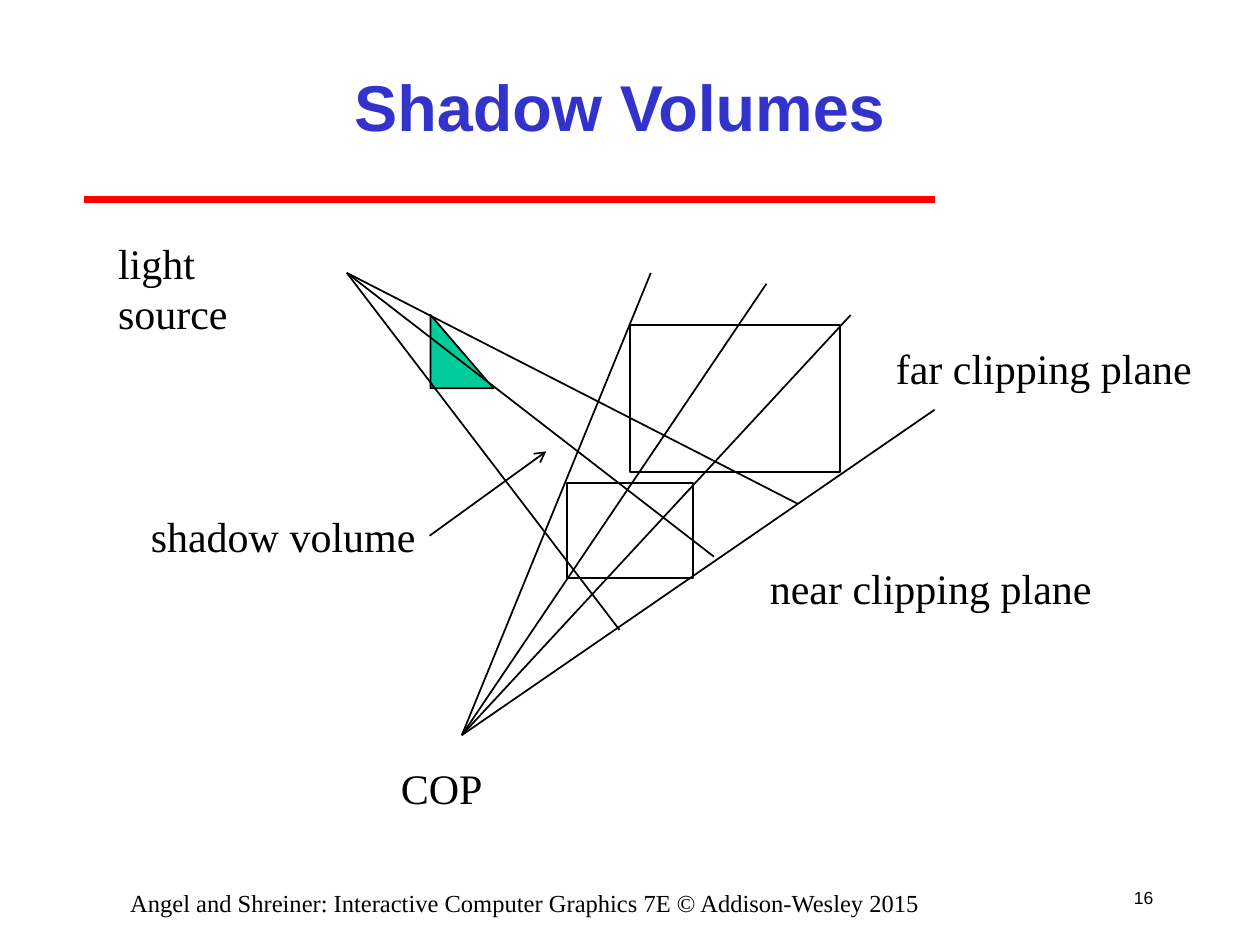
import pptx
import pptx.util
import pptx.dml.color
import pptx.enum.shapes
import pptx.enum.text
import pptx.oxml.ns
from lxml import etree

Cm, Pt = pptx.util.Cm, pptx.util.Pt
SHAPE = pptx.enum.shapes.MSO_SHAPE
ALIGN = pptx.enum.text.PP_ALIGN
ANCHOR = pptx.enum.text.MSO_ANCHOR

COLORS = {"title": "3333CC", "rule": "FF0000", "ink": "000000", "object": "00CC99"}
SERIF, SANS = "Times New Roman", "Arial"

# All positions are in centimetres.
TITLE = "Shadow Volumes"
TITLE_PLACE = (3.81, 0.64, 17.36, 2.96)
RULE = ((1.69, 4.02), (18.84, 4.02))
FOOTER = "Angel and Shreiner: Interactive Computer Graphics 7E © Addison-Wesley 2015"
FOOTER_PLACE = (1.27, 17.78, 18.63, 0.64)
PAGE_NUMBER = "16"
PAGE_NUMBER_PLACE = (22.44, 17.57, 1.06, 1.06)

VIEW_CENTER = (9.31, 14.82)
VIEW_EDGES = [(18.84, 8.26), (15.45, 5.72), (17.15, 6.35), (13.12, 5.5)]
LIGHT = (6.99, 5.5)
LIGHT_RAYS = [(16.09, 10.16), (12.49, 12.7), (14.39, 11.22)]
POINTER = ((8.66, 10.8), (11.01, 9.1))

OUTLINES = [
    (SHAPE.RECTANGLE, (11.43, 9.74, 2.54, 1.91), None),
    (SHAPE.RECTANGLE, (12.7, 6.56, 4.23, 2.96), None),
    (SHAPE.RIGHT_TRIANGLE, (8.68, 6.35, 1.27, 1.48), "object"),
]
LABEL_HEIGHT = 1.27
LABELS = [
    ("light source", 2.13, 4.66, 4.47),
    ("COP", 7.83, 15.24, 2.16),
    ("near clipping plane", 15.27, 11.22, 6.99),
    ("far clipping plane", 17.81, 6.77, 6.48),
    ("shadow volume", 2.79, 10.16, 5.84),
]


def rgb(name):
    return pptx.dml.color.RGBColor.from_string(COLORS[name])


def write(frame, text, font, size, color="ink", align=ALIGN.LEFT, bold=False):
    para = frame.paragraphs[0]
    para.alignment = align
    span = para.add_run()
    span.text = text
    span.font.name = font
    span.font.size = Pt(size)
    span.font.bold = bold
    span.font.color.rgb = rgb(color)


def add_text(page, text, place, font, size, align=ALIGN.LEFT, wrap=False):
    box = page.shapes.add_textbox(*map(Cm, place))
    box.text_frame.word_wrap = wrap
    write(box.text_frame, text, font, size, align=align)
    return box


def add_line(page, start, end, color="ink", width=1, arrow=False):
    line = page.shapes.add_connector(
        pptx.enum.shapes.MSO_CONNECTOR.STRAIGHT, *map(Cm, start + end))
    line.line.color.rgb = rgb(color)
    line.line.width = Pt(width)
    if arrow:
        head = etree.SubElement(line.line._get_or_add_ln(), pptx.oxml.ns.qn("a:tailEnd"))
        head.set("type", "arrow")
    etree.SubElement(line._element.spPr, pptx.oxml.ns.qn("a:effectLst"))


def add_outline(page, kind, place, fill):
    shape = page.shapes.add_shape(kind, *map(Cm, place))
    shape.shadow.inherit = False
    shape.line.color.rgb = rgb("ink")
    shape.line.width = Pt(1)
    if fill:
        shape.fill.solid()
        shape.fill.fore_color.rgb = rgb(fill)
    else:
        shape.fill.background()


def main():
    deck = pptx.Presentation()
    deck.slide_width, deck.slide_height = Cm(25.4), Cm(19.05)
    page = deck.slides.add_slide(deck.slide_layouts[5])

    title = page.shapes.title
    title.left, title.top, title.width, title.height = map(Cm, TITLE_PLACE)
    title.text_frame.vertical_anchor = ANCHOR.MIDDLE
    write(title.text_frame, TITLE, SANS, 37, "title", ALIGN.CENTER, bold=True)
    add_line(page, *RULE, color="rule", width=4)

    for end in VIEW_EDGES:
        add_line(page, VIEW_CENTER, end)
    for outline in OUTLINES:
        add_outline(page, *outline)
    for end in LIGHT_RAYS:
        add_line(page, LIGHT, end)
    for text, left, top, width in LABELS:
        label = add_text(page, text, (left, top, width, LABEL_HEIGHT), SERIF, 24)
        label.text_frame.auto_size = pptx.enum.text.MSO_AUTO_SIZE.SHAPE_TO_FIT_TEXT
    add_line(page, *POINTER, arrow=True)

    add_text(page, FOOTER, FOOTER_PLACE, SERIF, 14, ALIGN.CENTER, wrap=True)
    number = add_text(page, PAGE_NUMBER, PAGE_NUMBER_PLACE, SANS, 10, ALIGN.RIGHT)
    number.text_frame.vertical_anchor = ANCHOR.MIDDLE

    deck.save("out.pptx")


if __name__ == "__main__":
    main()
